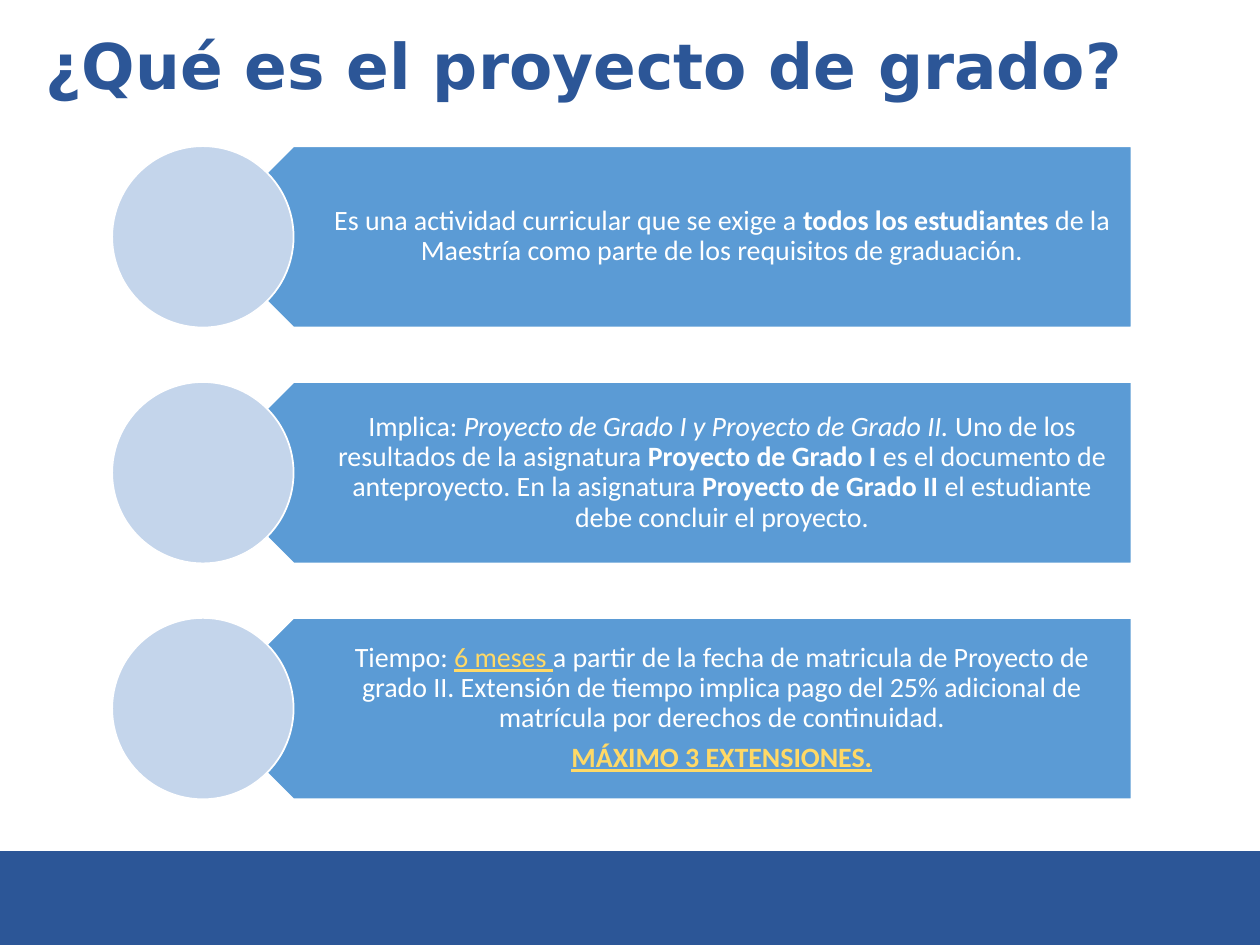
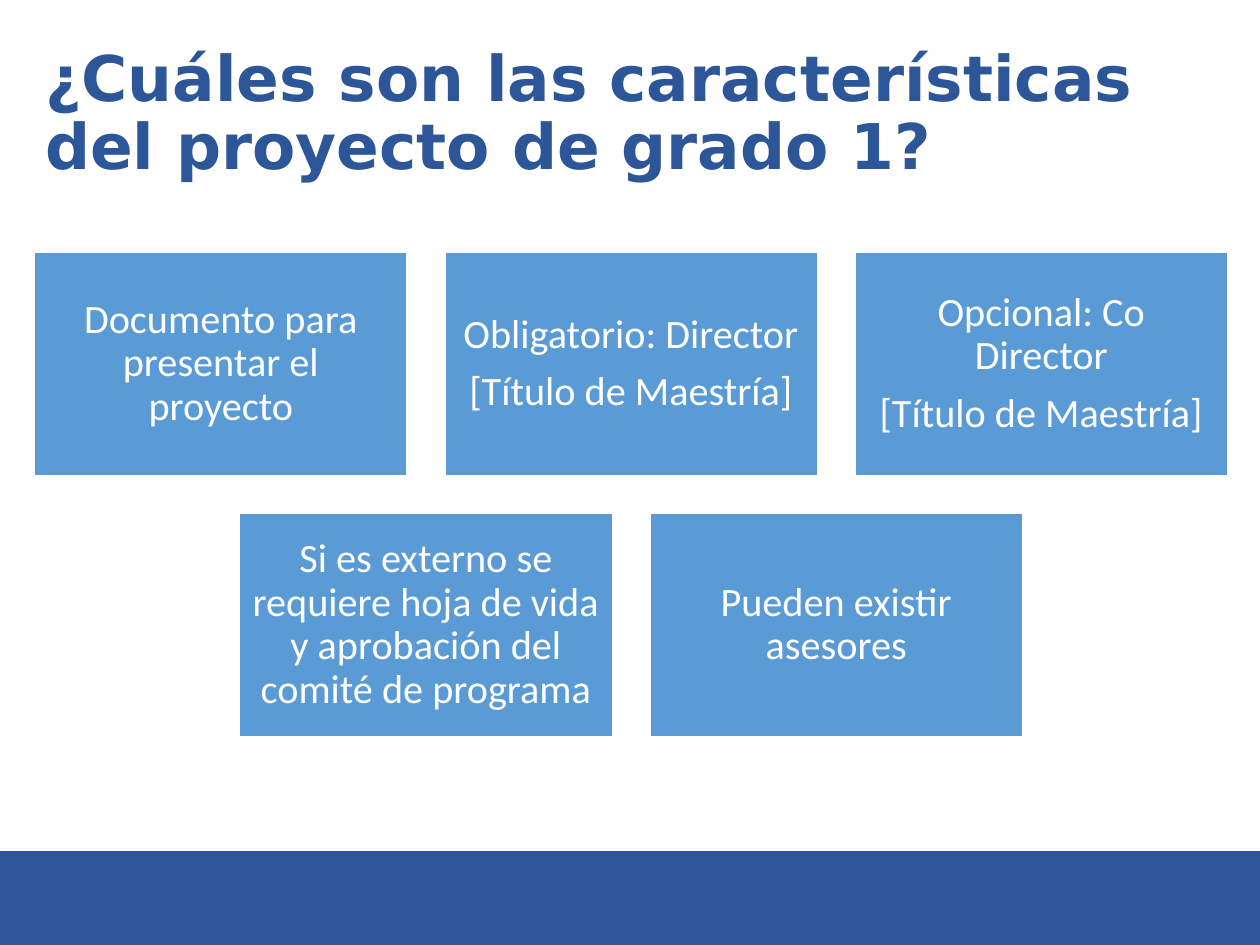
from typing import NamedTuple

from pptx import Presentation
from pptx import util as u
from pptx.dml.color import RGBColor
from pptx.enum import shapes, text

SLIDE_W, SLIDE_H = 10, 7.5
NAVY, BLUE, PALE, GOLD, WHITE = "2C5697", "5B9BD5", "C4D5EB", "FFD966", "FFFFFF"
TITLE_FONT, BODY_FONT = "DejaVu Sans", "Calibri"
MARGIN = 0.026 * SLIDE_W
BAND_TOP = 6.76

# Slide 1: rows measured in circle diameters
DIAMETER = 1.44
ROW_LEFT, ROW_TOP, ROW_PITCH = 0.89, 1.16, 1.3 * DIAMETER
PLATE_W = 7.37

# Slide 2: centred rows of cards, measured in card widths
CARD_W = 2.96
CARD_H, CARD_GAP = 0.6 * CARD_W, 0.1 * CARD_W
CARDS_CENTER, CARDS_TOP = 5.01, 2


class Box(NamedTuple):
    left: float
    top: float
    width: float
    height: float

    def emu(self) -> list[u.Length]:
        return [u.Inches(v) for v in self]


class Run(NamedTuple):
    words: str
    color: str = WHITE
    bold: bool = False
    italic: bool = False
    underline: bool = False


class Style(NamedTuple):
    font: str
    size: float
    align: text.PP_ALIGN
    after: float = 0
    insets: tuple[float, float, float, float] = (0.1, 0.05, 0.1, 0.05)


Paragraphs = list[list[Run]]

TITLE = Style(TITLE_FONT, 36, text.PP_ALIGN.LEFT)
ROW = Style(BODY_FONT, 16, text.PP_ALIGN.CENTER, 0.35, (0.63, 0.07, 0.12, 0.07))
CARD = Style(BODY_FONT, 23, text.PP_ALIGN.CENTER, 0.35, (0.1, 0.1, 0.1, 0.1))

ROWS: list[Paragraphs] = [
    [[Run("Es una actividad curricular que se exige a "),
      Run("todos los estudiantes", bold=True),
      Run(" de la Maestría como parte de los requisitos de graduación.")]],
    [[Run("Implica: "),
      Run("Proyecto de Grado I y Proyecto de Grado II. ", italic=True),
      Run("Uno de los resultados de la asignatura "),
      Run("Proyecto de Grado I ", bold=True),
      Run("es el documento de anteproyecto. En la asignatura "),
      Run("Proyecto de Grado II ", bold=True),
      Run("el estudiante debe concluir el proyecto.")]],
    [[Run("Tiempo: "),
      Run("6 meses ", GOLD, underline=True),
      Run("a partir de la fecha de matricula de Proyecto de grado II. "
          "Extensión de tiempo implica pago del 25% adicional de matrícula "
          "por derechos de continuidad.")],
     [Run("MÁXIMO 3 EXTENSIONES.", GOLD, bold=True, underline=True)]],
]

CARD_ROWS: list[list[list[str]]] = [
    [["Documento para presentar el proyecto"],
     ["Obligatorio: Director", "[Título de Maestría]"],
     ["Opcional: Co Director", "[Título de Maestría]"]],
    [["Si es externo se requiere hoja de vida y aprobación del comité de programa"],
     ["Pueden existir asesores"]],
]


def rgb(value: str) -> RGBColor:
    return RGBColor.from_string(value)


def add_shape(s, kind: shapes.MSO_SHAPE, box: Box, fill: str, line: str = WHITE):
    sp = s.shapes.add_shape(kind, *box.emu())
    sp.shadow.inherit = False
    sp.fill.solid()
    sp.fill.fore_color.rgb = rgb(fill)
    sp.line.color.rgb = rgb(line)
    sp.line.width = u.Pt(1)
    return sp


def write(sp, paragraphs: Paragraphs, style: Style) -> None:
    tf = sp.text_frame
    tf.word_wrap = True
    tf.vertical_anchor = text.MSO_ANCHOR.MIDDLE
    tf.margin_left, tf.margin_top, tf.margin_right, tf.margin_bottom = (
        u.Inches(v) for v in style.insets)
    for i, runs in enumerate(paragraphs):
        p = tf.add_paragraph() if i else tf.paragraphs[0]
        p.alignment = style.align
        p.line_spacing = 0.9
        p.space_after = u.Pt(style.after * style.size)
        for run in runs:
            r = p.add_run()
            r.text = run.words
            r.font.name, r.font.size = style.font, u.Pt(style.size)
            r.font.color.rgb = rgb(run.color)
            r.font.bold, r.font.italic = run.bold, run.italic
            r.font.underline = run.underline


def add_text(s, box: Box, paragraphs: Paragraphs, style: Style) -> None:
    write(s.shapes.add_textbox(*box.emu()), paragraphs, style)


def add_slide(prs, title: str, top: float, height: float):
    """Blank slide with the shared bottom band and title."""
    s = prs.slides.add_slide(prs.slide_layouts[6])
    band = Box(0, BAND_TOP, SLIDE_W, SLIDE_H - BAND_TOP)
    add_shape(s, shapes.MSO_SHAPE.RECTANGLE, band, NAVY, NAVY)
    add_text(s, Box(MARGIN, top, SLIDE_W - 2 * MARGIN, height),
             [[Run(title, NAVY, bold=True)]], TITLE)
    return s


def add_row(s, index: int, paragraphs: Paragraphs) -> None:
    """Left-pointing plate with its text and a circle over the point."""
    top = ROW_TOP + index * ROW_PITCH
    plate = Box(ROW_LEFT + DIAMETER / 2, top, PLATE_W, DIAMETER)
    inset = DIAMETER / 4
    add_shape(s, shapes.MSO_SHAPE.PENTAGON, plate, BLUE).rotation = 180
    add_text(s, plate._replace(left=plate.left + inset, width=PLATE_W - inset),
             paragraphs, ROW)
    add_shape(s, shapes.MSO_SHAPE.OVAL, Box(ROW_LEFT, top, DIAMETER, DIAMETER), PALE)


def add_card_row(s, index: int, cards: list[list[str]]) -> None:
    pitch = CARD_W + CARD_GAP
    left = CARDS_CENTER - (len(cards) * pitch - CARD_GAP) / 2
    top = CARDS_TOP + index * (CARD_H + CARD_GAP)
    for col, lines in enumerate(cards):
        box = Box(left + col * pitch, top, CARD_W, CARD_H)
        sp = add_shape(s, shapes.MSO_SHAPE.RECTANGLE, box, BLUE)
        write(sp, [[Run(line)] for line in lines], CARD)


def main() -> None:
    prs = Presentation()
    prs.slide_width, prs.slide_height = u.Inches(SLIDE_W), u.Inches(SLIDE_H)

    s = add_slide(prs, "¿Qué es el proyecto de grado?", 0.13, 0.84)
    for i, paragraphs in enumerate(ROWS):
        add_row(s, i, paragraphs)

    s = add_slide(prs, "¿Cuáles son las características del proyecto de grado 1?",
                  0.19, 1.45)
    for i, cards in enumerate(CARD_ROWS):
        add_card_row(s, i, cards)

    prs.save("out.pptx")


if __name__ == "__main__":
    main()
